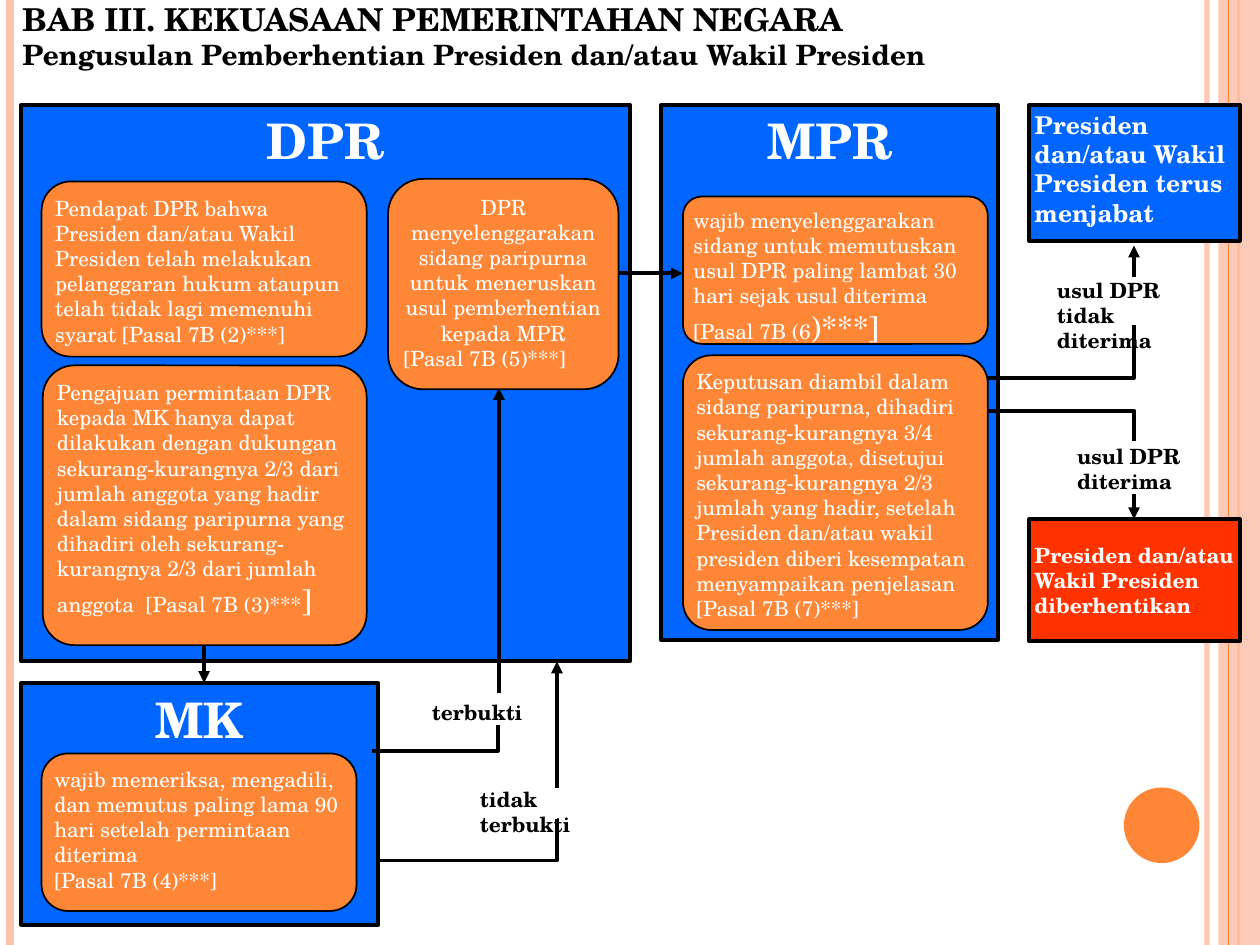
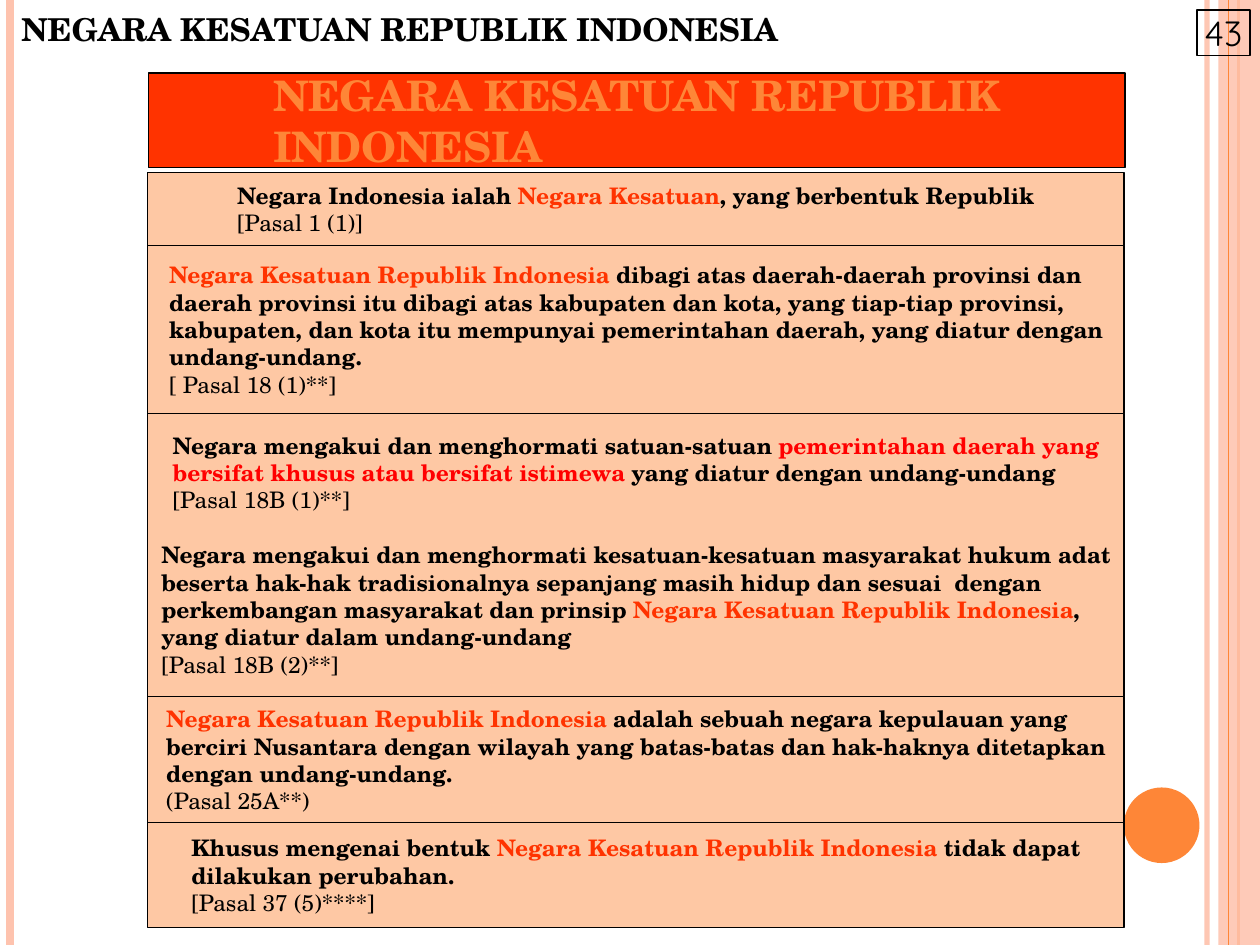
from lxml.etree import SubElement
from pptx import Presentation
from pptx.dml.color import RGBColor
from pptx.enum.shapes import MSO_CONNECTOR as Connector, MSO_SHAPE as Preset
from pptx.enum.text import MSO_ANCHOR as Anchor, PP_ALIGN as Align
from pptx.oxml.ns import qn
from pptx.util import Inches, Pt

FONT = "TeX Gyre Schola"
BLACK, WHITE = "000000", "FFFFFF"
BLUE, RED, PURE_RED = "0066FF", "FF3300", "FF0000"
ORANGE, PINK = "FE8637", "FEC3AE"
UNITY = ("Negara Kesatuan Republik Indonesia", RED)


def color(value):
    return RGBColor.from_string(value)


def inches(*values):
    return [Inches(value) for value in values]


def set_opacity(fill_parent, percent):
    rgb = fill_parent.find(".//" + qn("a:srgbClr"))
    SubElement(rgb, qn("a:alpha")).set("val", str(percent * 1000))


class Deck:
    def __init__(self):
        self.presentation = Presentation()
        self.presentation.slide_width = Inches(10)
        self.presentation.slide_height = Inches(7.5)
        self.slide = None

    def new_slide(self):
        layout = self.presentation.slide_layouts[6]
        self.slide = self.presentation.slides.add_slide(layout)
        set_opacity(self.line((9.58, 0), (9.58, 7.5), PINK, 3).line._ln, 93)
        self.line((0.08, 0), (0.08, 7.5), PINK, 4.5)
        self.line((9.83, 0), (9.83, 7.5), ORANGE, 1.5)
        self.shape((9.67, 0, 0.33, 7.5), PINK, opacity=87)
        self.line((9.75, 0), (9.75, 7.5), ORANGE, 0.75)
        self.shape((8.92, 6.25, 0.6, 0.6), ORANGE, preset=Preset.OVAL)

    def line(self, start, end, line_color=BLACK, width=2.25):
        connector = self.slide.shapes.add_connector(
            Connector.STRAIGHT, *inches(*start, *end))
        connector.line.color.rgb = color(line_color)
        connector.line.width = Pt(width)
        SubElement(connector._element.spPr, qn("a:effectLst"))
        return connector

    def arrow(self, start, end):
        connector = self.line(start, end)
        SubElement(connector.line._ln, qn("a:tailEnd")).set("type", "triangle")

    def elbow(self, start, corner, end):
        builder = self.slide.shapes.build_freeform(*inches(*start), scale=1.0)
        builder.add_line_segments([inches(*corner), inches(*end)], close=False)
        shape = builder.convert_to_shape()
        shape.shadow.inherit = False
        shape.fill.background()
        shape.line.color.rgb = color(BLACK)
        shape.line.width = Pt(2.25)

    def shape(self, box, fill=None, border=0, preset=Preset.RECTANGLE, opacity=100):
        shape = self.slide.shapes.add_shape(preset, *inches(*box))
        shape.shadow.inherit = False
        if fill:
            shape.fill.solid()
            shape.fill.fore_color.rgb = color(fill)
            if opacity < 100:
                set_opacity(shape._element.spPr, opacity)
        else:
            shape.fill.background()
        if border:
            shape.line.color.rgb = color(BLACK)
            shape.line.width = Pt(border)
        else:
            shape.line.fill.background()
        return shape

    def textbox(self, box):
        return self.slide.shapes.add_textbox(*inches(*box))

    def frame(self, shape, insets=(0.1, 0.05, 0.1, 0.05), anchor=Anchor.TOP,
              centered_block=False):
        frame = shape.text_frame
        frame.word_wrap = True
        frame.vertical_anchor = anchor
        (frame.margin_left, frame.margin_top,
         frame.margin_right, frame.margin_bottom) = inches(*insets)
        if centered_block:
            frame._txBody.bodyPr.set("anchorCtr", "1")
        return frame

    def set_text(self, frame, text, size, text_color, bold=False, align=Align.LEFT,
                 font=FONT):
        frame.text = text
        for paragraph in frame.paragraphs:
            paragraph.alignment = align
            for run in paragraph.runs:
                self.style(run, size, text_color, bold, font)

    def style(self, run, size, text_color, bold=False, font=FONT):
        run.font.name = font
        run.font.size = Pt(size)
        run.font.bold = bold
        run.font.color.rgb = color(text_color)

    def panel(self, box, title):
        frame = self.frame(self.shape(box, BLUE, 2.25))
        self.set_text(frame, title, 28, WHITE, True, Align.CENTER)

    def card(self, box, text, radius=0.167, large_ending=""):
        shape = self.shape(box, ORANGE, 1, Preset.ROUNDED_RECTANGLE)
        shape.adjustments[0] = radius
        frame = self.frame(shape, (0.04,) * 4)
        self.set_text(frame, text, 12, WHITE)
        if large_ending:
            run = frame.paragraphs[-1].add_run()
            run.text = large_ending
            self.style(run, 18, WHITE)
        return frame

    def outcome(self, box, fill, text, size, anchor):
        frame = self.frame(self.shape(box, fill, 2.25), (0.04,) * 4, anchor)
        self.set_text(frame, text, size, WHITE, True)

    def label(self, box, text):
        self.set_text(self.frame(self.textbox(box)), text, 12, BLACK, True)

    def article(self, shape, paragraphs, source, top=0.08):
        frame = self.frame(shape, (0.08, top, 0.08, 0.08), Anchor.MIDDLE, True)
        for index, parts in enumerate(paragraphs):
            paragraph = frame.paragraphs[0] if index == 0 else frame.add_paragraph()
            paragraph.alignment = Align.LEFT
            for text, text_color in parts:
                run = paragraph.add_run()
                run.text = text
                self.style(run, 13, text_color, True)
        paragraph = frame.add_paragraph()
        paragraph.text = source
        paragraph.alignment = Align.LEFT
        self.style(paragraph.runs[0], 13, BLACK)


def build_dismissal_slide(deck):
    deck.new_slide()
    heading = deck.frame(deck.textbox((0.08, -0.05, 8.05, 0.55)))
    deck.set_text(heading, "BAB III. KEKUASAAN PEMERINTAHAN NEGARA\n"
                  "Pengusulan Pemberhentian Presiden dan/atau Wakil Presiden",
                  18, BLACK, True)
    heading.paragraphs[1].runs[0].font.size = Pt(16)

    deck.panel((0.17, 0.83, 4.83, 4.42), "DPR")
    deck.panel((5.25, 0.83, 2.67, 4.25), "MPR")
    deck.panel((0.17, 5.42, 2.83, 1.92), "MK")

    for points in (
        ((2.95, 5.96), (3.95, 5.96), (3.95, 5.75)),
        ((3, 6.83), (4.42, 6.83), (4.42, 6.5)),
        ((7.75, 3), (9, 3), (9, 2.58)),
        ((7.75, 3.26), (9, 3.26), (9, 3.5)),
    ):
        deck.elbow(*points)
    for start, end in (
        ((1.62, 5.08), (1.62, 5.42)),
        ((3.96, 5.5), (3.96, 3.08)),
        ((4.42, 6.25), (4.42, 5.25)),
        ((4.75, 2.17), (5.42, 2.17)),
        ((9, 2.2), (9, 1.95)),
        ((9, 3.92), (9, 4.12)),
    ):
        deck.arrow(start, end)

    deck.card((0.33, 1.44, 2.58, 1.39),
              "Pendapat DPR bahwa Presiden dan/atau Wakil Presiden telah melakukan "
              "pelanggaran hukum ataupun telah tidak lagi memenuhi syarat "
              "[Pasal 7B (2)***]")
    deck.card((0.34, 2.9, 2.57, 2.22),
              "Pengajuan permintaan DPR kepada MK hanya dapat dilakukan dengan "
              "dukungan sekurang-kurangnya 2/3 dari jumlah anggota yang hadir dalam "
              "sidang paripurna yang dihadiri oleh sekurang-kurangnya 2/3 dari "
              "jumlah anggota  [Pasal 7B (3)***", 0.112, "]")
    plenary = deck.card((3.08, 1.42, 1.83, 1.67),
                        "DPR menyelenggarakan sidang paripurna untuk meneruskan usul "
                        "pemberhentian kepada MPR\n[Pasal 7B (5)***]")
    plenary.paragraphs[0].alignment = Align.CENTER
    deck.card((5.42, 1.56, 2.42, 1.17),
              "wajib menyelenggarakan sidang untuk memutuskan usul DPR paling lambat "
              "30 hari sejak usul diterima\n[Pasal 7B (6", 0.128, ")***]")
    deck.card((5.42, 2.82, 2.42, 2.18),
              "Keputusan diambil dalam sidang paripurna, dihadiri sekurang-kurangnya "
              "3/4  jumlah anggota, disetujui sekurang-kurangnya 2/3 jumlah yang "
              "hadir, setelah Presiden dan/atau wakil presiden diberi kesempatan "
              "menyampaikan penjelasan\n[Pasal 7B (7)***]", 0.103)
    deck.card((0.33, 5.98, 2.5, 1.25),
              "wajib memeriksa, mengadili, dan memutus paling lama 90 hari setelah "
              "permintaan diterima\n[Pasal 7B (4)***]")

    deck.outcome((8.17, 0.83, 1.67, 1.08), BLUE,
                 "Presiden dan/atau Wakil Presiden terus menjabat", 14, Anchor.TOP)
    deck.outcome((8.17, 4.12, 1.67, 0.97), RED,
                 "Presiden dan/atau Wakil Presiden diberhentikan", 12, Anchor.MIDDLE)

    deck.label((8.29, 2.15, 1.42, 0.67), "usul DPR tidak diterima")
    deck.label((8.45, 3.47, 1.11, 0.51), "usul DPR\nditerima")
    deck.label((3.33, 5.5, 1.03, 0.33), "terbukti")
    deck.label((3.71, 6.19, 1.42, 0.56), "tidak terbukti")


def build_unitary_state_slide(deck):
    deck.new_slide()
    title = "NEGARA KESATUAN REPUBLIK INDONESIA"
    heading = deck.frame(deck.textbox((0.17, 0.08, 8.42, 0.42)), (0,) * 4)
    deck.set_text(heading, title, 18, BLACK, True)
    banner = deck.frame(deck.shape((1.18, 0.58, 7.75, 0.75), RED, 0.75),
                        (0.08,) * 4, Anchor.MIDDLE, True)
    deck.set_text(banner, title, 24, ORANGE, True)
    number = deck.frame(deck.shape((9.5, 0.08, 0.42, 0.36), border=0.75),
                        (0,) * 4, Anchor.MIDDLE)
    deck.set_text(number, "43", 20, BLACK, align=Align.CENTER, font="Quicksand")

    rows = (
        (0.58, 0.08, [[("Negara Indonesia ialah ", BLACK), ("Negara Kesatuan", RED),
                       (", yang berbentuk Republik", BLACK)]], "[Pasal 1 (1)]"),
        (1.33, 0.08, [[UNITY, (
            " dibagi atas daerah-daerah provinsi dan daerah provinsi itu dibagi atas "
            "kabupaten dan kota, yang tiap-tiap provinsi, kabupaten, dan kota itu "
            "mempunyai pemerintahan daerah, yang diatur dengan undang-undang.",
            BLACK)]], "[ Pasal 18 (1)**]"),
        (2.25, 0.94, [[(
            "Negara mengakui dan menghormati kesatuan-kesatuan masyarakat hukum adat "
            "beserta hak-hak tradisionalnya sepanjang masih hidup dan sesuai  dengan "
            "perkembangan masyarakat dan prinsip ", BLACK), UNITY, (",", BLACK)],
            [("yang diatur dalam undang-undang", BLACK)]], "[Pasal 18B (2)**]"),
        (1, 0.08, [[UNITY, (
            " adalah sebuah negara kepulauan yang berciri Nusantara dengan wilayah "
            "yang batas-batas dan hak-haknya ditetapkan dengan undang-undang.",
            BLACK)]], "(Pasal 25A**)"),
        (0.83, 0.08, [[("Khusus mengenai bentuk ", BLACK), UNITY,
                       (" tidak dapat dilakukan perubahan.", BLACK)]],
         "[Pasal 37 (5)****]"),
    )
    y = 1.37
    for height, top_inset, paragraphs, source in rows:
        row = deck.shape((1.17, y, 7.75, height), ORANGE, 0.75, opacity=45)
        deck.article(row, paragraphs, source, top_inset)
        y += height

    deck.article(deck.textbox((1.17, 3.29, 7.75, 0.92)), [[
        ("Negara mengakui dan menghormati satuan-satuan ", BLACK),
        ("pemerintahan daerah yang bersifat khusus atau bersifat istimewa", PURE_RED),
        (" yang diatur dengan undang-undang", BLACK)]], "[Pasal 18B (1)**]")


def main():
    deck = Deck()
    build_dismissal_slide(deck)
    build_unitary_state_slide(deck)
    deck.presentation.save("out.pptx")


if __name__ == "__main__":
    main()
